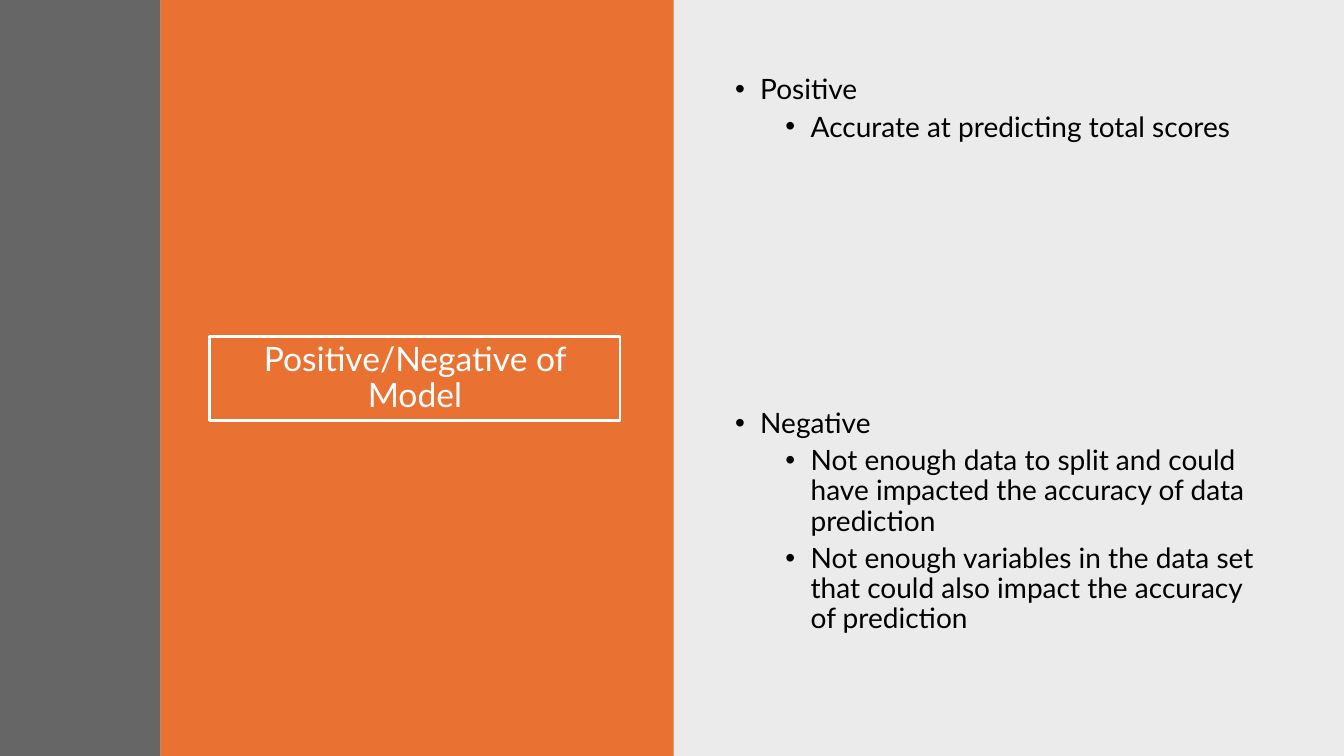
from dataclasses import dataclass

from lxml import etree
from pptx import Presentation
from pptx.dml.color import RGBColor
from pptx.enum import shapes, text
from pptx.oxml import ns
from pptx.util import Inches, Pt


@dataclass(frozen=True)
class Theme:
    font: str = "Lato"
    white: str = "FFFFFF"
    black: str = "000000"
    orange: str = "E97132"
    gray: str = "404040"
    title_size: int = 24
    body_size: int = 20


theme = Theme()


def place(shape, left, top, width, height):
    shape.left, shape.top = Inches(left), Inches(top)
    shape.width, shape.height = Inches(width), Inches(height)


def format_paragraph(paragraph, size, color):
    paragraph.line_spacing = 0.9
    for run in paragraph.runs:
        run.font.name = theme.font
        run.font.size = Pt(size)
        run.font.color.rgb = RGBColor.from_string(color)


prs = Presentation()
prs.slide_width, prs.slide_height = Inches(13.33), Inches(7.5)
slide = prs.slides.add_slide(prs.slide_layouts.get_by_name("Two Content"))
title, positive, negative = slide.placeholders

# Full-height panels behind the text: left, width, color, opacity in percent
panels = [
    (6.67, 6.66, theme.black, 8),
    (1.59, 5.09, theme.orange, 100),
    (0, 1.59, theme.gray, 80),
]
for left, width, color, opacity in panels:
    panel = slide.shapes.add_shape(
        shapes.MSO_SHAPE.RECTANGLE, Inches(left), 0, Inches(width), prs.slide_height)
    panel.shadow.inherit = False
    panel.line.fill.background()
    panel.fill.solid()
    panel.fill.fore_color.rgb = RGBColor.from_string(color)
    if opacity < 100:
        fill_color = panel.element.spPr.find(".//" + ns.qn("a:srgbClr"))
        etree.SubElement(fill_color, ns.qn("a:alpha"), val=str(opacity * 1000))
    title.element.addprevious(panel.element)

place(title, 2.08, 3.34, 4.07, 0.83)
title.line.color.rgb = RGBColor.from_string(theme.white)
title.line.width = Pt(2)
title.text_frame.text = "Positive/Negative of Model"
title.text_frame.auto_size = text.MSO_AUTO_SIZE.NONE
title.text_frame.vertical_anchor = text.MSO_ANCHOR.MIDDLE
heading = title.text_frame.paragraphs[0]
heading.alignment = text.PP_ALIGN.CENTER
format_paragraph(heading, theme.title_size, theme.white)

# Each list: placeholder, top, heading followed by its points
lists = [
    (positive, 0.7, ["Positive", "Accurate at predicting total scores\u00a0".strip()]),
    (negative, 4.01, [
        "Negative",
        "Not enough data to split and could have impacted the accuracy of data prediction",
        "Not enough variables in the data set that could also impact the accuracy of prediction",
    ]),
]
for body, top, lines in lists:
    place(body, 7.19, top, 5.53, 2.79)
    body.text_frame.text = "\n".join(lines)
    body.text_frame.auto_size = text.MSO_AUTO_SIZE.NONE
    for index, paragraph in enumerate(body.text_frame.paragraphs):
        paragraph.level = min(index, 1)
        paragraph.space_before = Pt(5 if paragraph.level else 10)
        format_paragraph(paragraph, theme.body_size, theme.black)
        properties = paragraph.runs[0].font._element.getparent().getparent().get_or_add_pPr()
        properties.set("marL", str(Inches(0.25 + 0.5 * paragraph.level)))
        properties.set("indent", str(Inches(-0.25)))
        etree.SubElement(properties, ns.qn("a:buFont"), typeface="Arial")
        etree.SubElement(properties, ns.qn("a:buChar"), char="•")

prs.save("out.pptx")
